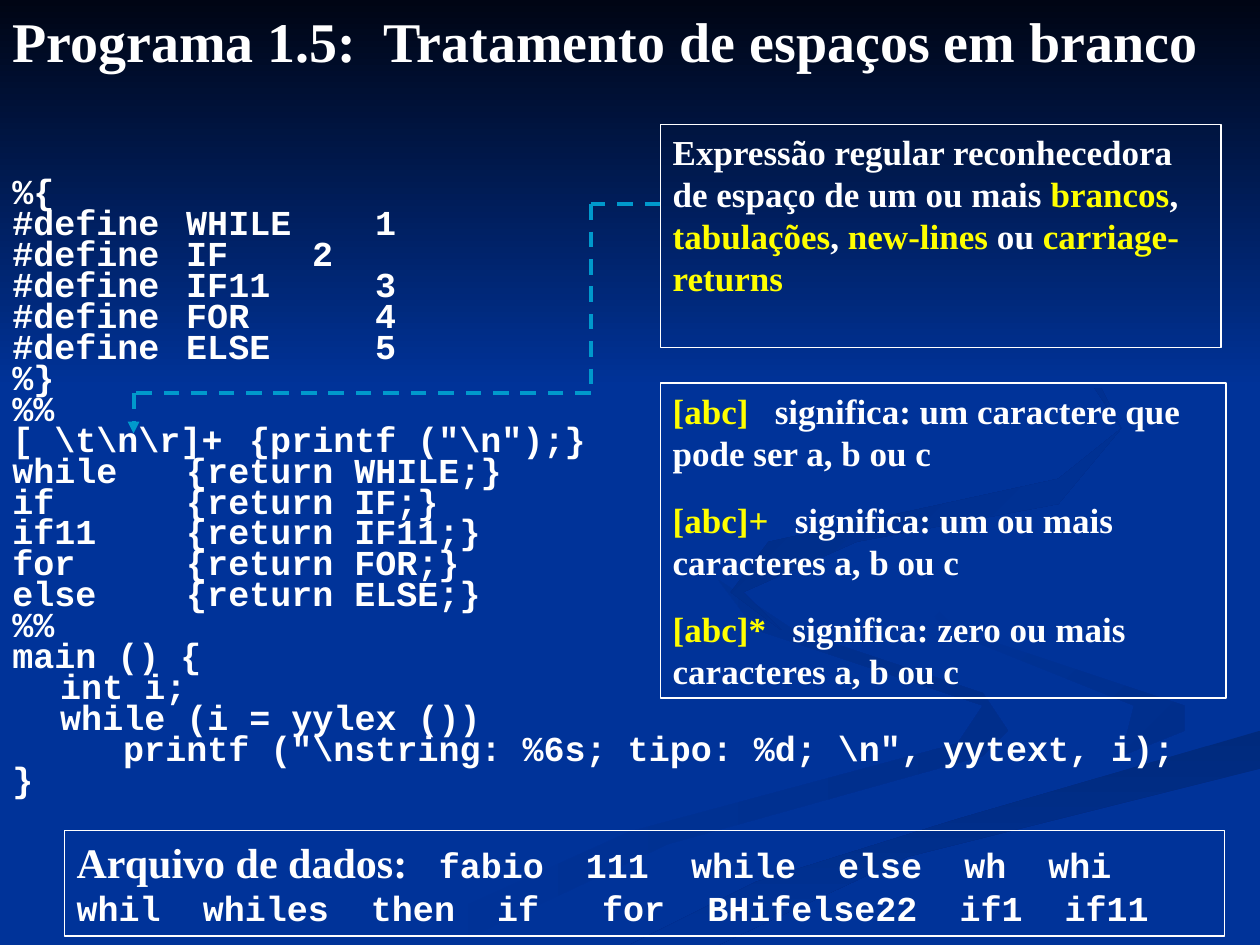
from lxml.etree import SubElement
from pptx import Presentation
from pptx.dml.color import RGBColor
from pptx.enum.dml import MSO_LINE
from pptx.enum.shapes import MSO_CONNECTOR, MSO_SHAPE
from pptx.enum.text import MSO_ANCHOR, PP_ALIGN
from pptx.oxml.ns import qn
from pptx.util import Inches, Pt

BLUE = RGBColor(0x00, 0x33, 0x99)
NIGHT = RGBColor(0x00, 0x05, 0x14)
SWIRL_LIGHT = RGBColor(0x00, 0x2E, 0x8B)
SWIRL_DEEP = RGBColor(0x00, 0x2B, 0x82)
SWIRL_DARK = RGBColor(0x00, 0x2A, 0x7D)
WHITE = RGBColor(0xFF, 0xFF, 0xFF)
YELLOW = RGBColor(0xFF, 0xFF, 0x00)
CYAN = RGBColor(0x00, 0x99, 0xCC)

TITLE = {"name": "Times New Roman", "size": Pt(32), "bold": True}
LABEL = {"name": "Times New Roman", "size": Pt(24), "bold": True}
NOTE = {"name": "Times New Roman", "size": Pt(20), "bold": True}
CODE = {"name": "Courier New", "size": Pt(20), "bold": True}


def add_run(paragraph, text, format_values, color=WHITE):
    run = paragraph.add_run()
    run.text = text
    for attribute, value in format_values.items():
        setattr(run.font, attribute, value)
    run.font.color.rgb = color


def add_frame(left, top, width, height):
    frame = slide.shapes.add_shape(
        MSO_SHAPE.RECTANGLE, Inches(left), Inches(top), Inches(width), Inches(height))
    frame.shadow.inherit = False
    frame.fill.background()
    frame.line.color.rgb = WHITE
    frame.line.width = Pt(0.75)
    frame.text_frame.word_wrap = True
    frame.text_frame.vertical_anchor = MSO_ANCHOR.TOP
    frame.text_frame.paragraphs[0].alignment = PP_ALIGN.LEFT
    return frame.text_frame


presentation = Presentation()
presentation.slide_width = Inches(10)
presentation.slide_height = Inches(7.5)
slide = presentation.slides.add_slide(presentation.slide_layouts[6])
slide.background.fill.solid()
slide.background.fill.fore_color.rgb = BLUE

backdrop = [
    (BLUE, SWIRL_LIGHT, 0, [
        (7.8, 5.5), (6.3, 5), (5.7, 4.6), (6, 5), (7.8, 5.6), (7.6, 5.9),
        (5, 6.6), (3, 7.5), (3.6, 7.5), (5.3, 6.7), (7.8, 6), (8, 5.8)]),
    (BLUE, SWIRL_LIGHT, 315, [
        (9.4, 5.6), (7.6, 5), (7.2, 4.6), (7.5, 5), (9, 5.6), (8.9, 6), (9.4, 5.8)]),
    (SWIRL_DARK, BLUE, 270, [
        (5, 7.5), (5.7, 7.5), (7.2, 6.8), (10, 6.1), (10, 5.8), (7.6, 6.5), (6, 7)]),
    (SWIRL_DEEP, BLUE, 315, [
        (6.8, 4.3), (8.4, 4), (8.9, 3.4), (8.5, 2.8), (7.6, 2.3), (8.7, 3),
        (8.9, 3.4), (8.4, 3.8), (6.1, 4.3), (5.8, 4.7), (6.2, 5), (5.9, 4.7)]),
    (NIGHT, BLUE, 270, [(0, 0), (0, 3.08), (10, 3.08), (10, 0)]),
]
for first_color, last_color, angle, outline in backdrop:
    corners = [(Inches(x), Inches(y)) for x, y in outline]
    builder = slide.shapes.build_freeform(*corners[0])
    builder.add_line_segments(corners[1:], close=True)
    swirl = builder.convert_to_shape()
    swirl.shadow.inherit = False
    swirl.line.fill.background()
    swirl.fill.gradient()
    swirl.fill.gradient_angle = angle
    for stop, color, position in zip(
            swirl.fill.gradient_stops, (first_color, last_color), (0, 1)):
        stop.color.rgb = color
        stop.position = position

program = slide.shapes.add_textbox(0, 0, Inches(10), Inches(7.5)).text_frame
program.word_wrap = True
add_run(program.paragraphs[0], "Programa 1.5:  Tratamento de espaços em branco", TITLE)

tokens = ["WHILE", "IF", "IF11", "FOR", "ELSE"]
code_lines = [
    "%{",
    *[f"#define \t{token}\t\t{value}" for value, token in enumerate(tokens, 1)],
    "%}",
    "%%",
    "[ \\t\\n\\r]+\t{printf (\"\\n\");}",
    *[token.lower() + ("\t\t\t" if token == "IF" else "\t\t") + f"{{return {token};}}"
      for token in tokens],
    "%%",
    "main () {",
    "\tint i;",
    "\twhile (i = yylex ())",
    "\t\tprintf (\"\\nstring: %6s; tipo: %d; \\n\", yytext, i);",
    "}",
]
for number, code_line in enumerate(code_lines):
    paragraph = program.add_paragraph()
    paragraph.line_spacing = 0.5
    paragraph.space_before = Pt(5.65) if number else Pt(65.6)
    add_run(paragraph, code_line, CODE)
    properties = paragraph._p.get_or_add_pPr()
    properties.set("marL", str(Inches(0.38)))
    properties.set("indent", str(Inches(-0.38)))
    tab_list = SubElement(properties, qn("a:tabLst"))
    for inch in range(8):
        SubElement(tab_list, qn("a:tab"), pos=str(Inches(inch)), algn="l")

data_file = add_frame(0.51, 6.59, 9.21, 0.84).paragraphs[0]
add_run(data_file, "Arquivo de dados:   ", LABEL)
add_run(data_file, "fabio  111  while  else  wh  whi  whil  whiles  then  if   for  "
        "BHifelse22  if1  if11", CODE)

explanation = add_frame(5.24, 0.99, 4.45, 1.77).paragraphs[0]
for plain, highlight in [
        ("Expressão regular reconhecedora de espaço de um ou mais ", "brancos"),
        (", ", "tabulações"), (", ", "new-lines"), (" ou ", "carriage-returns")]:
    add_run(explanation, plain, NOTE)
    add_run(explanation, highlight, NOTE, YELLOW)

route = [(5.24, 1.62), (4.69, 1.62), (4.69, 3.12), (1.06, 3.12), (1.06, 3.44)]
for start, end in zip(route, route[1:]):
    segment = slide.shapes.add_connector(
        MSO_CONNECTOR.STRAIGHT, *map(Inches, start + end))
    segment.line.color.rgb = CYAN
    segment.line.width = Pt(2.25)
    segment.line.dash_style = MSO_LINE.DASH
    if end == route[-1]:
        SubElement(segment.line._get_or_add_ln(), qn("a:tailEnd"), type="triangle")
    SubElement(segment._element.spPr, qn("a:effectLst"))

legend = add_frame(5.24, 3.04, 4.49, 2.5)
for number, (pattern, meaning) in enumerate([
        ("[abc]", "   significa: um caractere que pode ser a, b ou c"),
        ("[abc]+", "   significa: um ou mais caracteres a, b ou c"),
        ("[abc]* ", "  significa: zero ou mais caracteres a, b ou c")]):
    paragraph = legend.add_paragraph() if number else legend.paragraphs[0]
    paragraph.alignment = PP_ALIGN.LEFT
    paragraph.space_before = Pt(14.4 if number else 0)
    add_run(paragraph, pattern, NOTE, YELLOW)
    add_run(paragraph, meaning, NOTE)

presentation.save("out.pptx")
